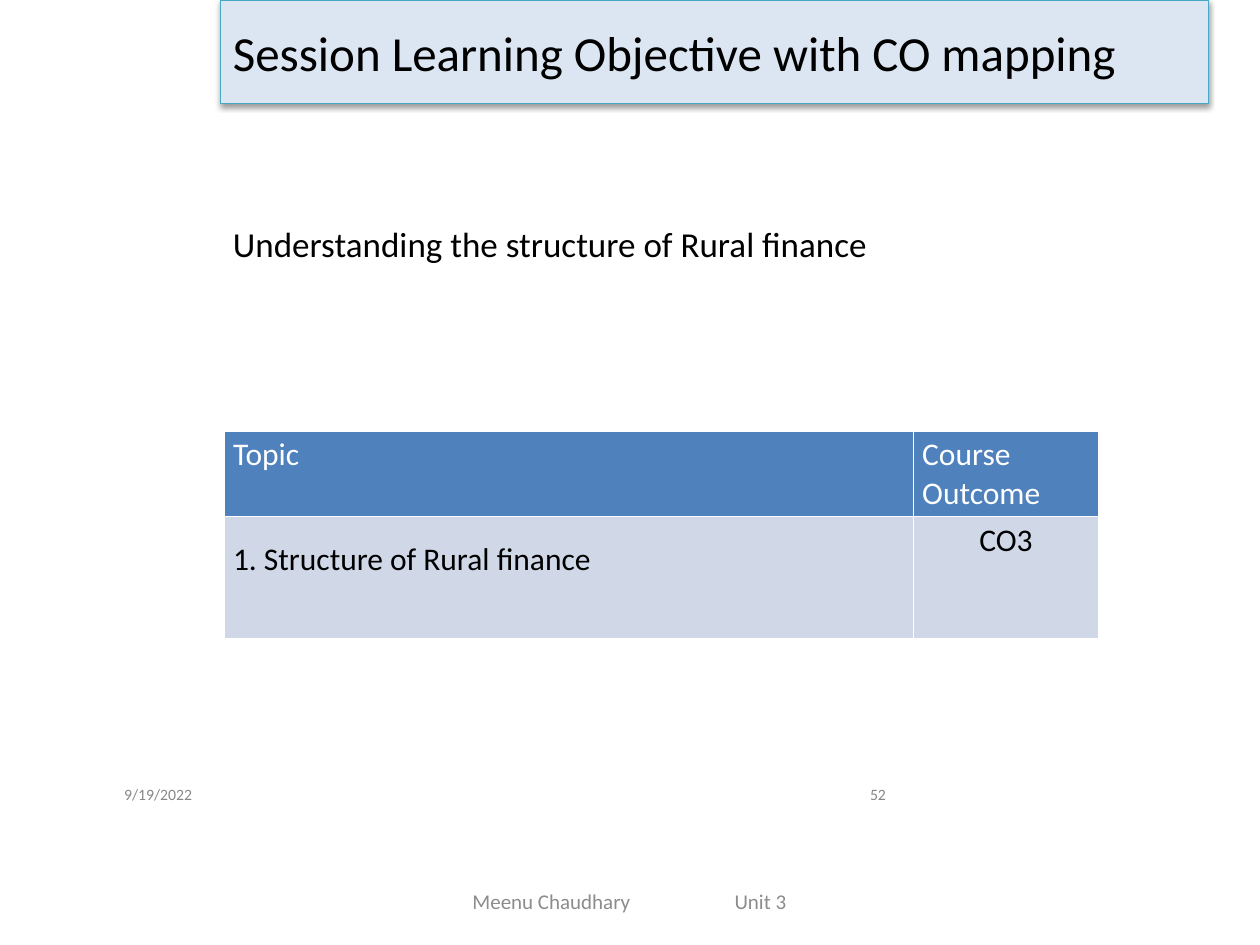
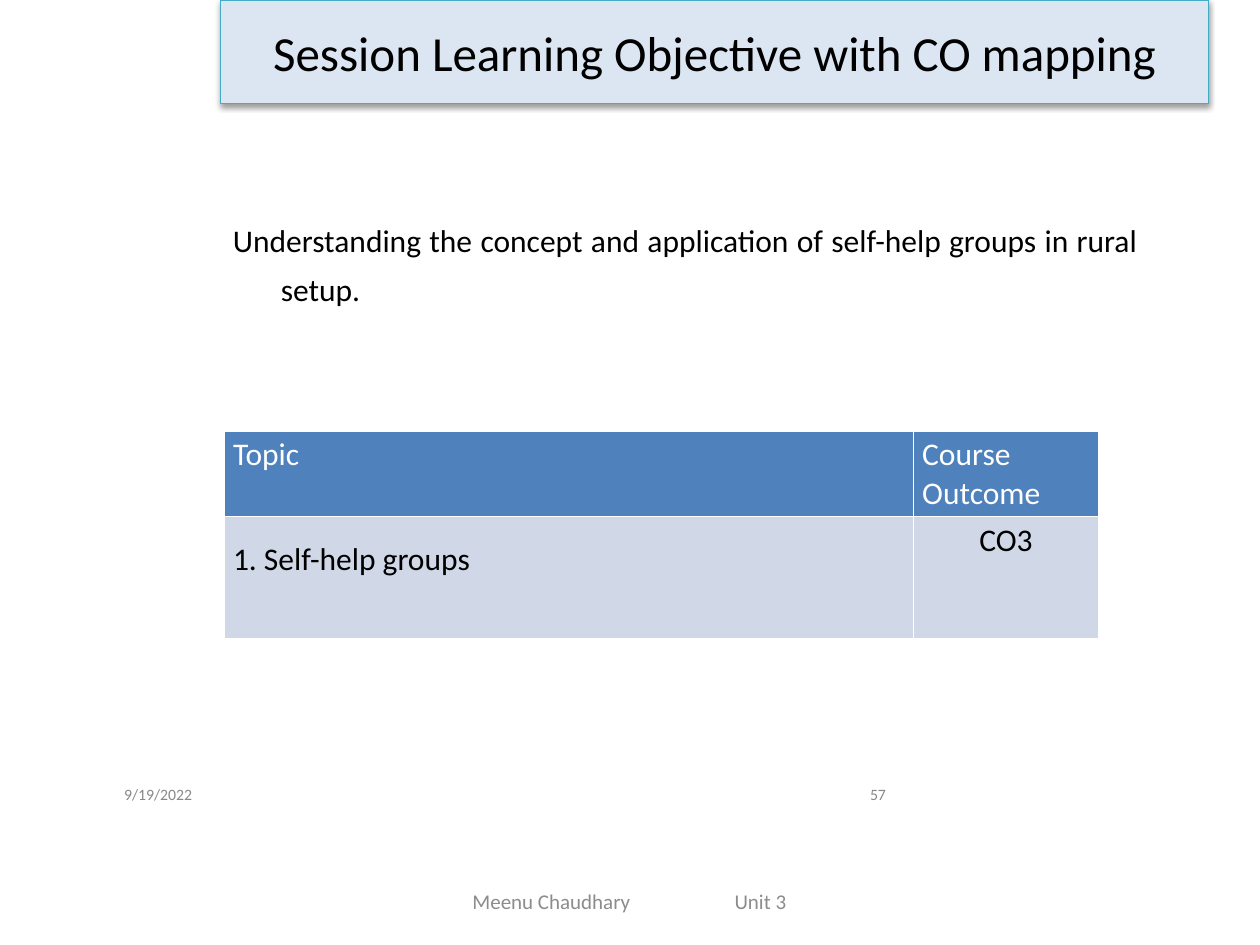
from lxml.etree import SubElement
from pptx import Presentation
from pptx.dml.color import RGBColor
from pptx.enum.shapes import MSO_SHAPE
from pptx.enum.text import MSO_ANCHOR, PP_ALIGN
from pptx.oxml.ns import qn
from pptx.util import Inches, Pt

# Content
TITLE = "Session Learning Objective with CO mapping"
DATE = "9/19/2022"
FOOTER = "Meenu Chaudhary\tUnit 3"
HEADER = ("Topic", "Course Outcome")
SLIDES = [
    dict(number="52", title_align="l", size=20, topic=" Structure of Rural finance",
         objective="Understanding the structure of Rural finance", height=0.99),
    dict(number="57", title_align="c", size=18, topic=" Self-help groups",
         objective="Understanding the concept and application of self-help groups "
                   "in rural setup.", height=1.29),
]
OUTCOME = "CO3"

# Shared style
FONT = "Calibri"
BLACK, WHITE, GREY, FOOT_GREY = "000000", "FFFFFF", "888888", "8C8C8C"
BAND, BAND_LINE, HEAD_FILL, ROW_FILL = "DCE6F2", "46AAC5", "4F81BD", "D0D8E8"
ALIGN = {"l": PP_ALIGN.LEFT, "c": PP_ALIGN.CENTER, "r": PP_ALIGN.RIGHT,
         "j": PP_ALIGN.JUSTIFY}
COLUMNS, ROWS = (5.47, 1.47), (0.67, 0.97)


def rgb(color):
    return RGBColor.from_string(color)


def put_text(tf, text, size=18, color=BLACK, align="l", spacing=None, anchor=None):
    tf.word_wrap = True
    if anchor is not None:
        tf.vertical_anchor = anchor
    p = tf.paragraphs[0]
    p.alignment = ALIGN[align]
    if spacing:
        p.line_spacing = spacing
    r = p.add_run()
    r.text = text
    r.font.name, r.font.size, r.font.bold = FONT, Pt(size), False
    r.font.color.rgb = rgb(color)
    return p


def add_text(s, box, text, **fmt):
    tf = s.shapes.add_textbox(*map(Inches, box)).text_frame
    return tf, put_text(tf, text, **fmt)


def add_shadow(sp):
    sp.shadow.inherit = False
    effects = sp._element.spPr.find(qn("a:effectLst"))
    shadow = SubElement(effects, qn("a:outerShdw"), blurRad="40000", dist="20000",
                        dir="5400000", rotWithShape="0")
    color = SubElement(shadow, qn("a:srgbClr"), val=BLACK)
    SubElement(color, qn("a:alpha"), val="38000")


def add_title(s, align):
    sp = s.shapes.add_shape(MSO_SHAPE.RECTANGLE, *map(Inches, (1.75, 0, 7.84, 0.82)))
    sp.fill.solid()
    sp.fill.fore_color.rgb = rgb(BAND)
    sp.line.color.rgb = rgb(BAND_LINE)
    sp.line.width = Pt(0.75)
    add_shadow(sp)
    put_text(sp.text_frame, TITLE, size=28, align=align, anchor=MSO_ANCHOR.MIDDLE)


def add_objective(s, item):
    _, p = add_text(s, (1.75, 1.61, 7.38, item["height"]), item["objective"],
                    size=item["size"], align="j", spacing=1.31)
    pPr = p._p.get_or_add_pPr()
    pPr.set("marL", str(Inches(0.38)))
    pPr.set("indent", str(-Inches(0.38)))


def style_cell(cell, fill):
    cell.margin_left = cell.margin_right = Inches(0.07)
    cell.margin_top = cell.margin_bottom = Inches(0.04)
    tcPr = cell._tc.get_or_add_tcPr()
    for side in ("lnL", "lnR", "lnT", "lnB"):
        line = SubElement(tcPr, qn("a:" + side), w=str(Pt(1)))
        SubElement(SubElement(line, qn("a:solidFill")), qn("a:srgbClr"), val=WHITE)
    cell.fill.solid()
    cell.fill.fore_color.rgb = rgb(fill)


def add_mapping(s, topic):
    box = (1.78, 3.42, sum(COLUMNS), sum(ROWS))
    table = s.shapes.add_table(2, 2, *map(Inches, box)).table
    table.horz_banding = False
    for column, width in zip(table.columns, COLUMNS):
        column.width = Inches(width)
    for row, height, fill in zip(table.rows, ROWS, (HEAD_FILL, ROW_FILL)):
        row.height = Inches(height)
        for cell in row.cells:
            style_cell(cell, fill)
    for i, label in enumerate(HEADER):
        put_text(table.cell(0, i).text_frame, label, color=WHITE)
    p = put_text(table.cell(1, 0).text_frame, topic, align="j", spacing=1.5)
    SubElement(p._p.get_or_add_pPr(), qn("a:buFont"), typeface="+mj-lt")
    SubElement(p._p.get_or_add_pPr(), qn("a:buAutoNum"), type="arabicPeriod")
    put_text(table.cell(1, 1).text_frame, OUTCOME, align="c")


def add_footer(s, number):
    for left, text, align in ((0.38, DATE, "c"), (5.38, number, "r")):
        add_text(s, (left, 6.15, 1.75, 0.3), text, size=9, color=GREY,
                 align=align, anchor=MSO_ANCHOR.MIDDLE)
    # Author and unit sit on one line, parted by a tab stop
    tf, p = add_text(s, (3.42, 6.95, 3.17, 0.4), FOOTER, size=12, color=FOOT_GREY,
                     anchor=MSO_ANCHOR.MIDDLE)
    tf.margin_left = Inches(0.33)
    tabs = SubElement(p._p.get_or_add_pPr(), qn("a:tabLst"))
    SubElement(tabs, qn("a:tab"), pos=str(Inches(2.08)), algn="l")


def main():
    prs = Presentation()
    prs.slide_width, prs.slide_height = Inches(10), Inches(7.5)
    for item in SLIDES:
        s = prs.slides.add_slide(prs.slide_layouts[6])
        add_title(s, item["title_align"])
        add_objective(s, item)
        add_mapping(s, item["topic"])
        add_footer(s, item["number"])
    prs.save("out.pptx")


if __name__ == "__main__":
    main()
